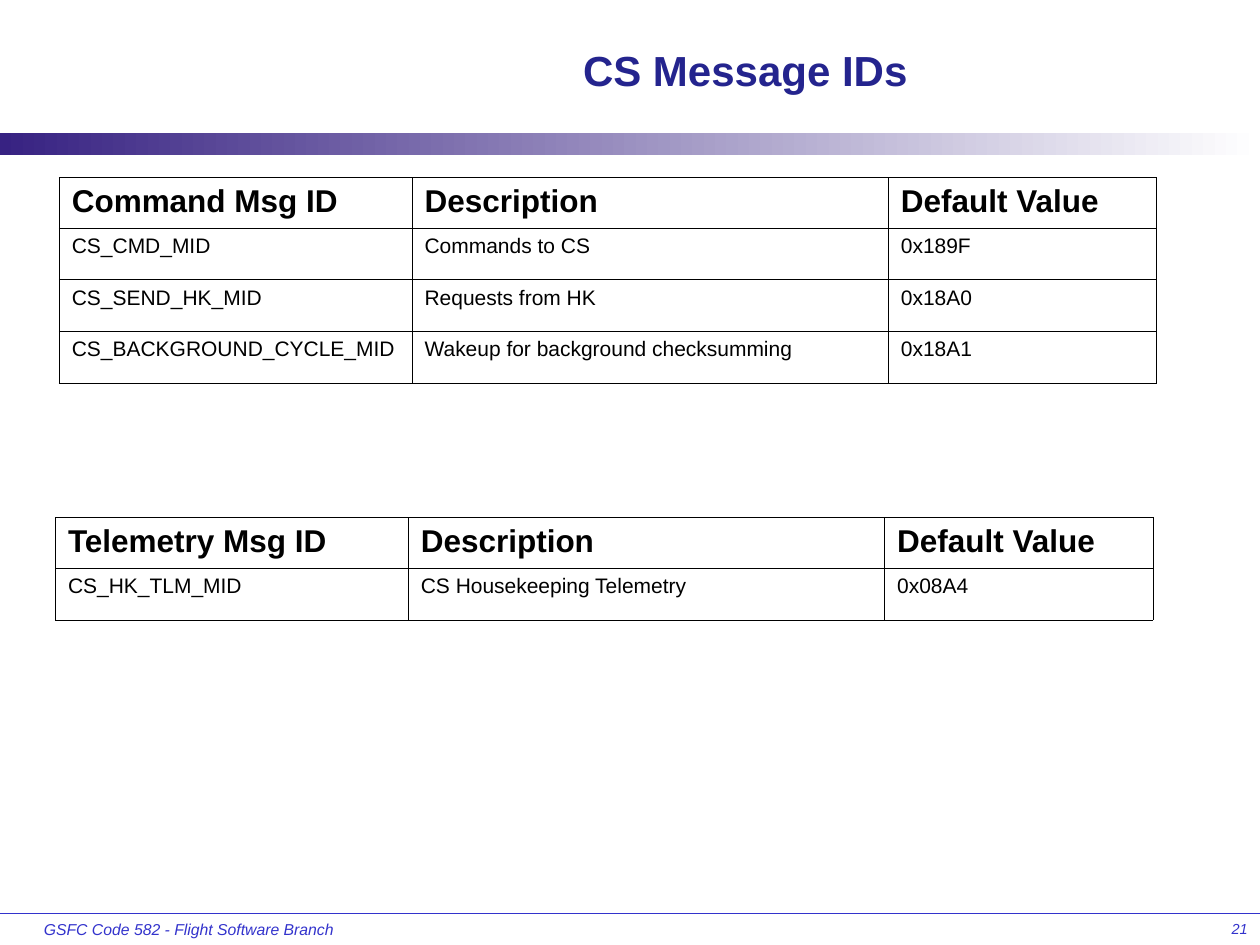
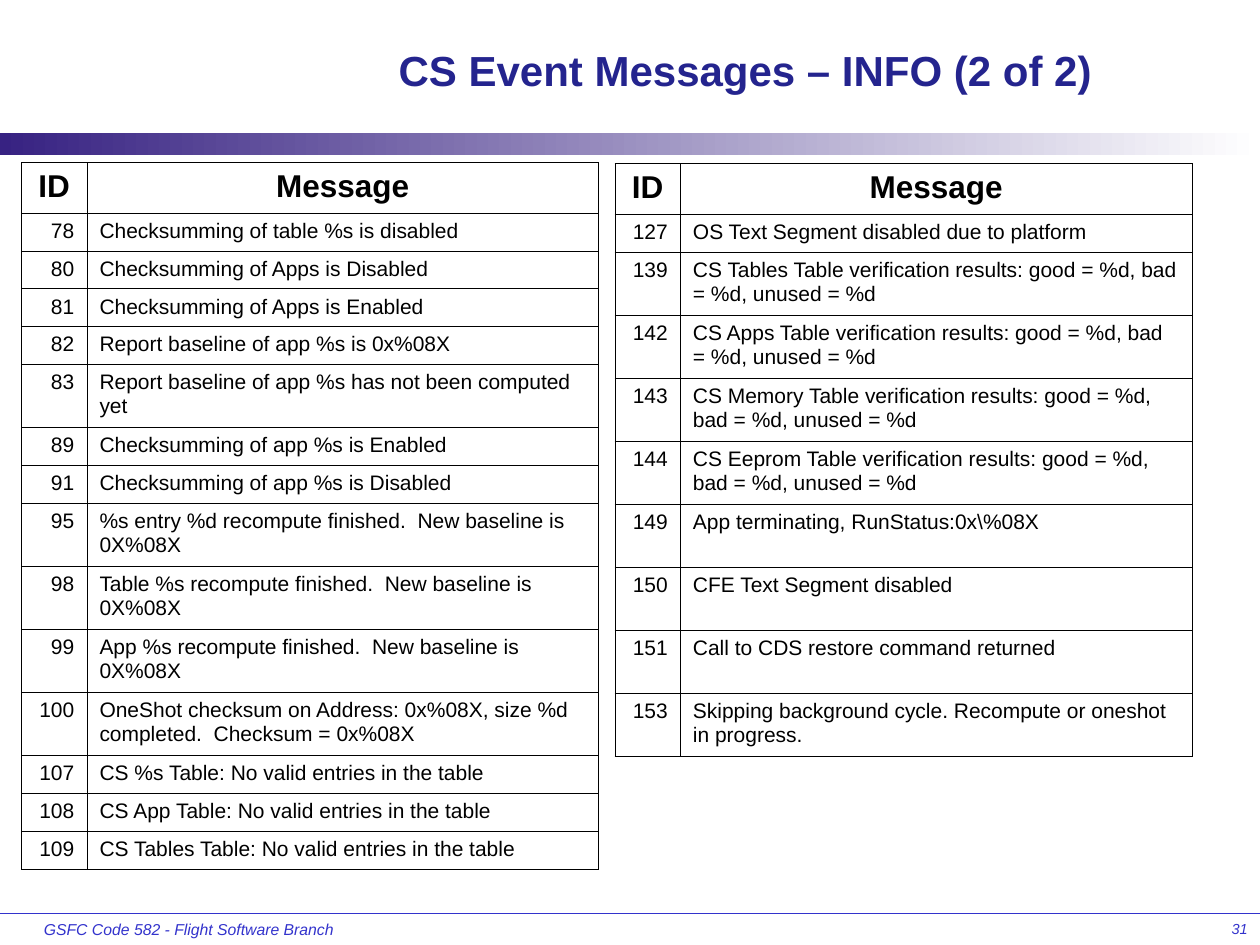
from lxml.etree import SubElement as Sub
from pptx import Presentation
from pptx.dml.color import RGBColor
from pptx.enum.shapes import MSO_CONNECTOR as Link, MSO_SHAPE as Shape
from pptx.enum.text import MSO_ANCHOR as Anchor, PP_ALIGN as Align
from pptx.oxml import parse_xml
from pptx.oxml.ns import nsdecls, qn
from pptx.util import Emu, Inches, Pt

# Content
OWNER = "GSFC Code 582 - Flight Software Branch"

COMMANDS = [
    ("Command Msg ID", "Description", "Default Value"),
    ("CS_CMD_MID", "Commands to CS", "0x189F"),
    ("CS_SEND_HK_MID", "Requests from HK", "0x18A0"),
    ("CS_BACKGROUND_CYCLE_MID", "Wakeup for background checksumming", "0x18A1"),
]
TELEMETRY = [
    ("Telemetry Msg ID", "Description", "Default Value"),
    ("CS_HK_TLM_MID", "CS Housekeeping Telemetry", "0x08A4"),
]
EVENTS_A = [
    ("ID", "Message"),
    ("78", "Checksumming of table %s is disabled"),
    ("80", "Checksumming of Apps is Disabled"),
    ("81", "Checksumming of Apps is Enabled"),
    ("82", "Report baseline of app %s is 0x%08X"),
    ("83", "Report baseline of app %s has not been computed yet"),
    ("89", "Checksumming of app %s is Enabled"),
    ("91", "Checksumming of app %s is Disabled"),
    ("95", "%s entry %d recompute finished.  New baseline is 0X%08X"),
    ("98", "Table %s recompute finished.  New baseline is 0X%08X"),
    ("99", "App %s recompute finished.  New baseline is 0X%08X"),
    ("100", "OneShot checksum on Address: 0x%08X, size %d completed.  "
            "Checksum = 0x%08X"),
    ("107", "CS %s Table: No valid entries in the table"),
    ("108", "CS App Table: No valid entries in the table"),
    ("109", "CS Tables Table: No valid entries in the table"),
]
RESULTS = "verification results: good = %d, bad = %d, unused = %d"
EVENTS_B = [
    ("ID", "Message"),
    ("127", "OS Text Segment disabled due to platform"),
    *[(num, f"CS {name} Table {RESULTS}") for num, name in
      (("139", "Tables"), ("142", "Apps"), ("143", "Memory"), ("144", "Eeprom"))],
    ("149", r"App terminating, RunStatus:0x\%08X"),
    ("150", "CFE Text Segment disabled"),
    ("151", "Call to CDS restore command returned"),
    ("153", "Skipping background cycle. Recompute or oneshot in progress."),
]

# Table kinds: column widths, head and body alignment, row heights
LEFT, MID, RIGHT = Align.LEFT, Align.CENTER, Align.RIGHT
HEAD, SHORT, TALL = 0.4, 0.3, 0.5
IDS = {"cols": (2.8, 3.78, 2.13), "head": (LEFT,) * 3, "body": (LEFT,) * 3}
EVENTS = {"cols": (0.52, 4.06), "head": (MID, MID), "body": (RIGHT, LEFT)}
TALL_IDS = {"83", "95", "98", "99", "100", "139", "142", "143", "144",
            "149", "150", "151", "153"}

# Each slide: title, number, tables as (kind, left, top, rows)
SLIDES = [
    ("CS Message IDs", 21,
     [(IDS, 0.47, 1.41, COMMANDS), (IDS, 0.44, 4.11, TELEMETRY)]),
    ("CS Event Messages – INFO (2 of 2)", 31,
     [(EVENTS, 0.17, 1.29, EVENTS_A), (EVENTS, 4.88, 1.3, EVENTS_B)]),
]

# Shared look
WIDE, HIGH = 10, 7.5
FOOT = 7.25
INK, BLUE, NAVY, DEEP, WHITE = "000000", "3333CC", "24248E", "372282", "FFFFFF"
TITLE = {"size": Pt(24), "bold": True}
NOTE = {"size": Pt(9), "italic": True}
PAGE = {"size": Pt(8.3), "italic": True}
TOP = {"size": Pt(18), "bold": True}
BODY = {"size": Pt(12), "bold": False}


def tint(hue):
    return RGBColor.from_string(hue)


def write(frame, text, look, hue=INK, align=LEFT):
    para = frame.paragraphs[0]
    para.alignment = align
    run = para.add_run()
    run.text = text
    for key, val in {"name": "Arial", **look}.items():
        setattr(run.font, key, val)
    run.font.color.rgb = tint(hue)


def label(slide, box, text, look, hue, align=LEFT, anchor=Anchor.TOP):
    frame = slide.shapes.add_textbox(*map(Inches, box)).text_frame
    frame.word_wrap = True
    frame.vertical_anchor = anchor
    write(frame, text, look, hue, align)


def border(cell):
    props = cell._tc.get_or_add_tcPr()
    for spot, side in enumerate("LRTB"):
        props.insert(spot, parse_xml(
            f'<a:ln{side} {nsdecls("a")} w="{Pt(0.45)}"><a:solidFill>'
            f'<a:srgbClr val="{INK}"/></a:solidFill></a:ln{side}>'))


def grid(slide, kind, left, top, rows):
    body = [0.41 if kind is IDS else TALL if row[0] in TALL_IDS else SHORT
            for row in rows[1:]]
    highs = [HEAD, *body]
    cols = kind["cols"]
    box = map(Inches, (left, top, sum(cols), sum(highs)))
    table = slide.shapes.add_table(len(rows), len(cols), *box).table
    table.first_row = table.horz_banding = False
    for col, width in zip(table.columns, cols):
        col.width = Inches(width)
    for r, (row, high) in enumerate(zip(rows, highs)):
        table.rows[r].height = Inches(high)
        look, sides = (BODY, kind["body"]) if r else (TOP, kind["head"])
        for c, (text, side) in enumerate(zip(row, sides)):
            cell = table.cell(r, c)
            cell.fill.background()
            border(cell)
            write(cell.text_frame, text, look, align=side)


def frame_up(slide, title, num):
    # Footer rule
    rule = slide.shapes.add_connector(
        Link.STRAIGHT, Emu(0), Inches(FOOT), Inches(WIDE), Inches(FOOT))
    rule.line.color.rgb = tint(BLUE)
    rule.line.width = Pt(0.75)
    Sub(rule._element.spPr, qn("a:effectLst"))
    # Fading band
    band = slide.shapes.add_shape(
        Shape.RECTANGLE, *map(Inches, (0, 1.06, WIDE, 0.17)))
    band.shadow.inherit = False
    band.line.fill.background()
    band.fill.gradient()
    band.fill.gradient_angle = 0
    for stop, hue in zip(band.fill.gradient_stops, (DEEP, WHITE)):
        stop.color.rgb = tint(hue)
    # Footer and title
    deep = HIGH - FOOT
    label(slide, (0.25, FOOT, 2.5, deep), OWNER, NOTE, BLUE)
    label(slide, (7.92, FOOT, 2.08, deep), str(num), PAGE, BLUE, RIGHT)
    label(slide, (2.08, 0.17, 7.67, 0.76), title, TITLE, NAVY, MID, Anchor.MIDDLE)


def main():
    deck = Presentation()
    deck.slide_width, deck.slide_height = Inches(WIDE), Inches(HIGH)
    for title, num, tables in SLIDES:
        slide = deck.slides.add_slide(deck.slide_layouts[6])
        frame_up(slide, title, num)
        for table in tables:
            grid(slide, *table)
    deck.save("out.pptx")


if __name__ == "__main__":
    main()
